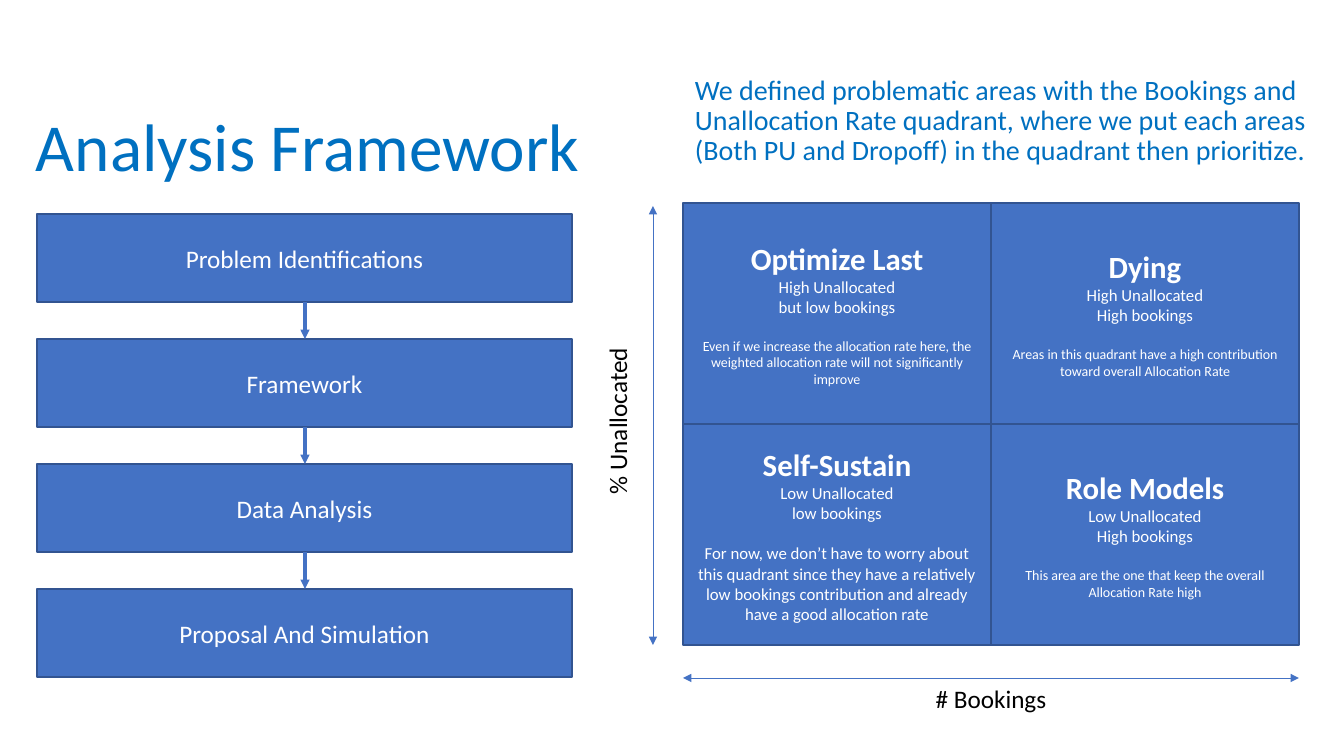
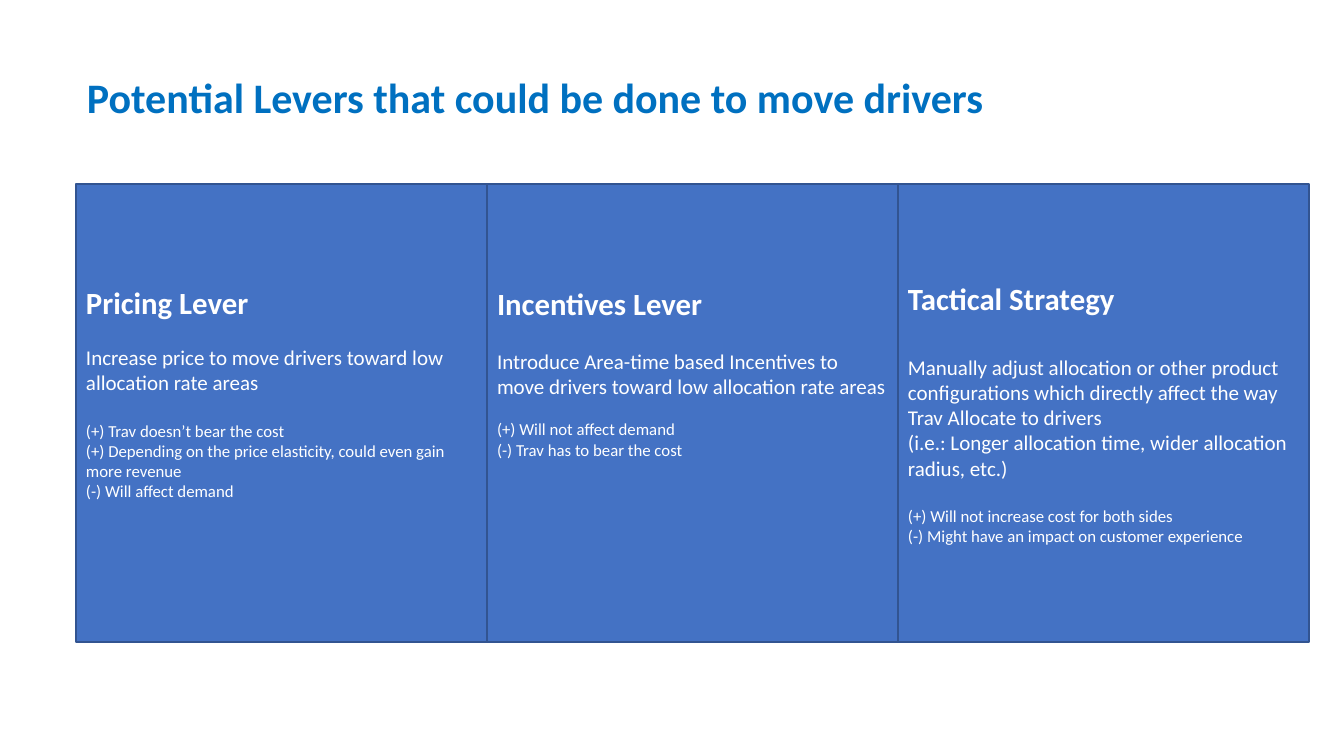
from pptx import Presentation
from pptx.dml.color import RGBColor
from pptx.enum.shapes import MSO_CONNECTOR as Link, MSO_SHAPE as Shape
from pptx.enum.text import MSO_ANCHOR as Anchor, MSO_AUTO_SIZE as Fit, PP_ALIGN as Align
from pptx.oxml.ns import qn
from pptx.util import Emu, Pt
from lxml.etree import SubElement

BLUE, EDGE, INK, TITLE, WHITE = "4472C4", "325491", "000000", "0070C0", "FFFFFF"
FONT = "Calibri"
SCALE = 914400 / 100.8


def px(num):
    return Emu(round(num * SCALE))


def tint(code):
    return RGBColor.from_string(code)


def put(obj, **vals):
    for name, val in vals.items():
        setattr(obj, name, val)


class Deck:
    def __init__(self, wide, high):
        self.prs = Presentation()
        put(self.prs, slide_width=px(wide), slide_height=px(high))
        self.slide = None

    def page(self):
        self.slide = self.prs.slides.add_slide(self.prs.slide_layouts[5])

    def words(self, frame, rows, color, align, anchor, space=1.0, base=5):
        put(frame, word_wrap=True, auto_size=Fit.NONE, vertical_anchor=anchor,
            margin_left=px(10), margin_right=px(10),
            margin_top=px(5), margin_bottom=px(base))
        for num, (text, size, bold, gap) in enumerate(rows):
            para = frame.add_paragraph() if num else frame.paragraphs[0]
            put(para, alignment=align, line_spacing=space,
                space_before=Pt(gap), space_after=Pt(0))
            run = para.add_run()
            run.text = text
            put(run.font, name=FONT, size=Pt(size), bold=bold)
            run.font.color.rgb = tint(color)

    def title(self, text, box, size, bold=False):
        item = self.slide.shapes.title
        left, top, width, height = map(px, box)
        put(item, left=left, top=top, width=width, height=height)
        self.words(item.text_frame, [(text, size, bold, 0)], TITLE,
                   Align.LEFT, Anchor.MIDDLE, 0.9)

    def label(self, text, box, size, color=INK, align=Align.CENTER,
              anchor=Anchor.TOP, space=1.0, turn=None):
        frame = self.slide.shapes.add_textbox(*map(px, box)).text_frame
        self.words(frame, [(text, size, False, 0)], color, align, anchor, space)
        if turn:
            frame._txBody.bodyPr.set("vert", turn)

    def block(self, rows, box, align=Align.CENTER, base=5):
        item = self.slide.shapes.add_shape(Shape.RECTANGLE, *map(px, box))
        item.shadow.inherit = False
        item.fill.solid()
        item.fill.fore_color.rgb = tint(BLUE)
        item.line.color.rgb = tint(EDGE)
        item.line.width = Pt(1)
        self.words(item.text_frame, rows, WHITE, align, Anchor.MIDDLE, base=base)

    def arrow(self, ends, width, tips=("tailEnd",)):
        item = self.slide.shapes.add_connector(Link.STRAIGHT, *map(px, ends))
        item.line.color.rgb = tint(BLUE)
        item.line.width = Pt(width)
        props = item._element.spPr
        for tip in tips:
            SubElement(props.find(qn("a:ln")), qn("a:" + tip), type="triangle")
        SubElement(props, qn("a:effectLst"))


def frame_page(deck):
    deck.page()
    deck.title("Analysis Framework", (26, 79, 572, 141), 48)
    deck.label("We defined problematic areas with the Bookings and Unallocation Rate "
               "quadrant, where we put each areas (Both PU and Dropoff) in the quadrant "
               "then prioritize.", (685, 51, 645, 141), 20, TITLE,
               Align.LEFT, Anchor.MIDDLE, 0.9)

    steps = ["Problem Identifications", "Framework", "Data Analysis",
             "Proposal And Simulation"]
    left, top, wide, high, pitch = 37, 214, 535, 88, 125
    mid = left + wide // 2 + 1
    for num, step in enumerate(steps):
        y = top + num * pitch
        deck.block([(step, 18, False, 0)], (left, y, wide, high))
        if num:
            deck.arrow((mid, y - pitch + high, mid, y), 2.25)

    quads = [
        ("Optimize Last", "High Unallocated", "but low bookings", 10,
         "Even if we increase the allocation rate here, the weighted allocation "
         "rate will not significantly improve"),
        ("Dying", "High Unallocated", "High bookings", 10,
         "Areas in this quadrant have a high contribution toward overall "
         "Allocation Rate"),
        ("Self-Sustain", "Low Unallocated", "low bookings", 12,
         "For now, we don’t have to worry about this quadrant since they have a "
         "relatively low bookings contribution and already have a good allocation rate"),
        ("Role Models", "Low Unallocated", "High bookings", 10,
         "This area are the one that keep the overall Allocation Rate high"),
    ]
    left, top, wide, high = 683, 203, 308, 221
    for num, (head, rate, count, size, note) in enumerate(quads):
        row, col = divmod(num, 2)
        rows = [(head, 22, True, 0), (rate, 12, False, 0),
                (count, 12, False, 0), (note, size, False, 14.65)]
        deck.block(rows, (left + col * wide, top + row * high, wide, high))

    both = ("headEnd", "tailEnd")
    deck.arrow((left, 678, left + 2 * wide, 678), 0.5, both)
    deck.label("# Bookings", (left, 678, 2 * wide, 44), 18)
    deck.arrow((653, 645, 653, 206), 0.5, both)
    deck.label("% Unallocated", (592, 200, 61, 442), 18, turn="vert270")


def lever_page(deck):
    deck.page()
    deck.title("Potential Levers that could be done to move drivers",
               (77, 29, 1027, 141), 30, True)
    levers = [
        ("Pricing Lever", 17.1, 18.3, 46,
         ["Increase price to move drivers toward low allocation rate areas"],
         ["(+) Trav doesn’t bear the cost",
          "(+) Depending on the price elasticity, could even gain more revenue",
          "(-) Will affect demand"]),
        ("Incentives Lever", 19, 14.65, 87,
         ["Introduce Area-time based Incentives to move drivers toward low "
          "allocation rate areas"],
         ["(+) Will not affect demand", "(-) Trav has to bear the cost"]),
        ("Tactical Strategy", 26.9, 18.3, 5,
         ["Manually adjust allocation or other product configurations which "
          "directly affect the way Trav Allocate to drivers",
          "(i.e.: Longer allocation time, wider allocation radius, etc.)"],
         ["(+) Will not increase cost for both sides",
          "(-) Might have an impact on customer experience"]),
    ]
    left, top, wide, high = 76, 184, 411, 458
    for num, (head, lead, gap, base, body, notes) in enumerate(levers):
        rows = [(head, 22, True, 0)]
        for lines, size, space in ((body, 15, lead), (notes, 12, gap)):
            rows += [(line, size, False, 0 if pos else space)
                     for pos, line in enumerate(lines)]
        deck.block(rows, (left + num * wide, top, wide, high), Align.LEFT, base)


deck = Deck(1344, 756)
frame_page(deck)
lever_page(deck)
deck.prs.save("out.pptx")
